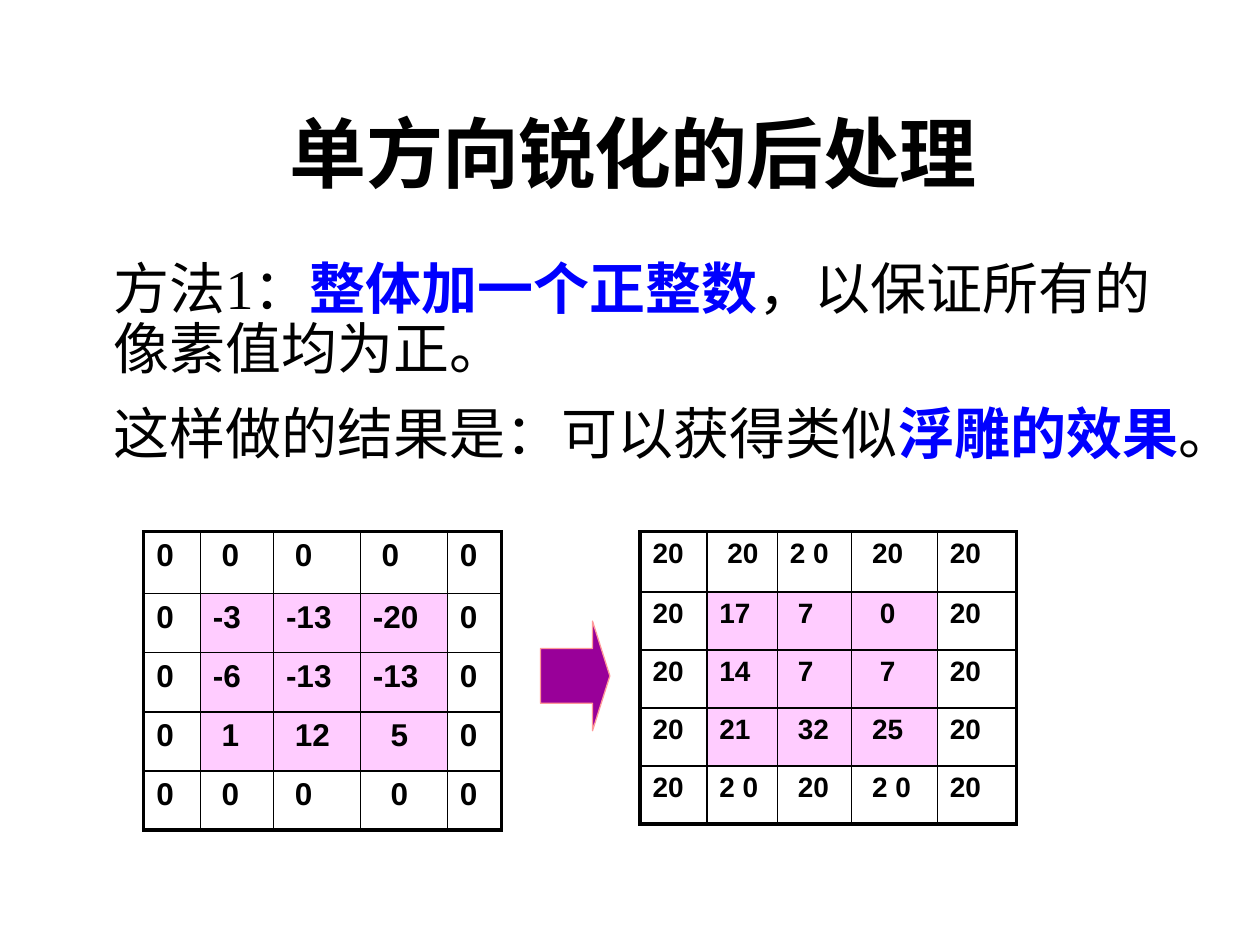
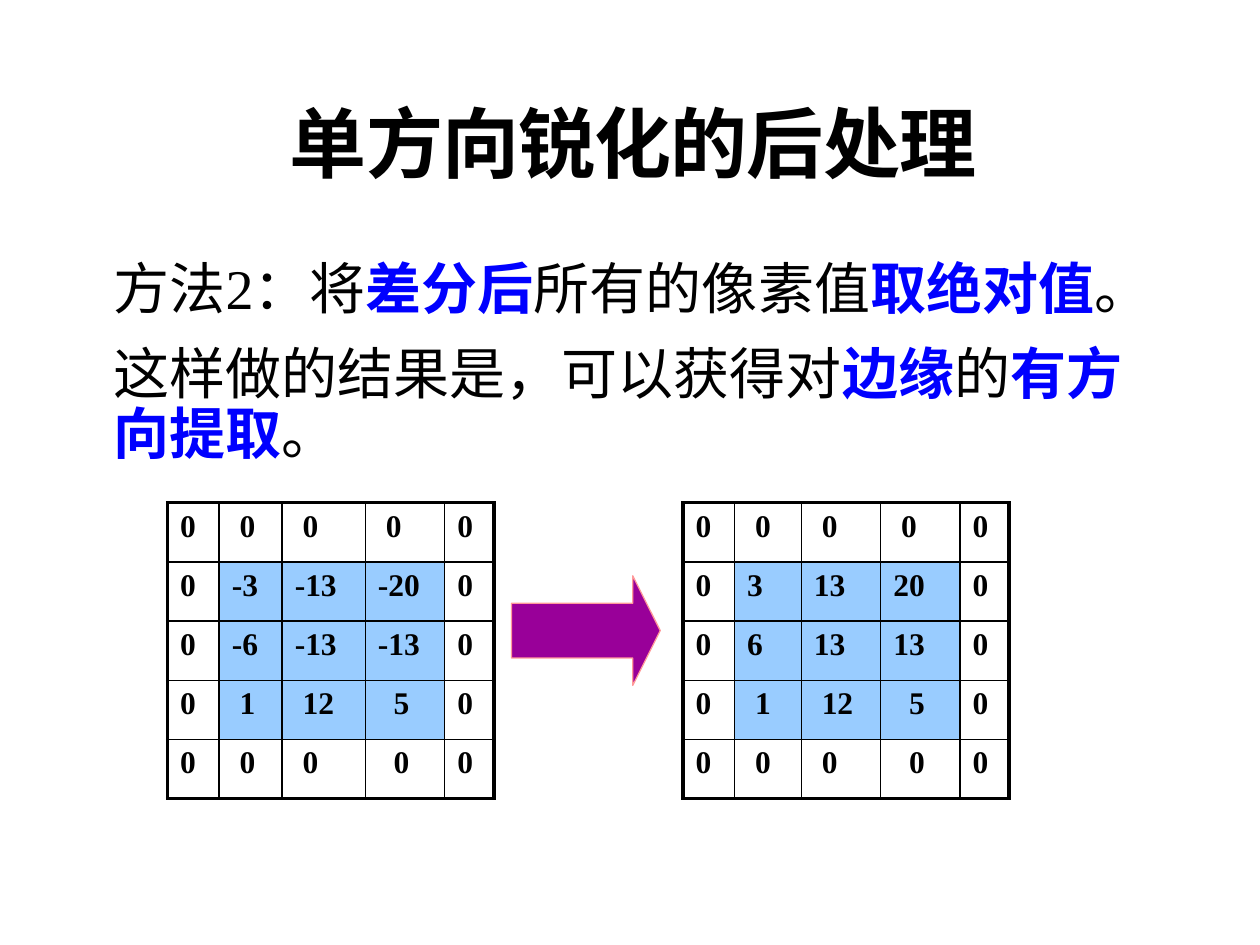
from lxml.etree import SubElement
from pptx import Presentation
from pptx.dml.color import RGBColor
from pptx.enum.shapes import MSO_SHAPE
from pptx.enum.text import MSO_ANCHOR, PP_ALIGN
from pptx.oxml.ns import qn
from pptx.util import Inches, Pt

BLACK, WHITE, BLUE = "000000", "FFFFFF", "0000FF"
PINK, SKY = "FFCCFF", "99CCFF"
PURPLE, SALMON = "990099", "FF9999"
SERIF, SANS = "Times New Roman", "Arial"
TITLE = "单方向锐化的后处理"

DIFFERENCES = [
    ["0", "0", "0", "0", "0"],
    ["0", "-3", "-13", "-20", "0"],
    ["0", "-6", "-13", "-13", "0"],
    ["0", "1", "12", "5", "0"],
    ["0", "0", "0", "0", "0"],
]
ABSOLUTES = [[value.lstrip("-") for value in row] for row in DIFFERENCES]
SHIFTED = [
    ["20", "20", "2 0", "20", "20"],
    ["20", "17", "7", "0", "20"],
    ["20", "14", "7", "7", "20"],
    ["20", "21", "32", "25", "20"],
    ["20", "2 0", "20", "2 0", "20"],
]
DIFFERENCE_INDENTS = ["01110", "00000", "00000", "01120", "01120"]
SHIFTED_INDENTS = ["01010", "00120", "00120", "00110", "00110"]


def color(value):
    return RGBColor.from_string(value)


def add_text(para, text, size=32, font=SERIF, fill=BLACK, bold=False, spacing=None):
    span = para.add_run()
    span.text = text
    span.font.size = Pt(size)
    span.font.name = font
    span.font.bold = bold
    span.font.color.rgb = color(fill)
    properties = span._r.get_or_add_rPr()
    properties.set("lang", "zh-CN")
    if spacing is not None:
        properties.set("spc", str(int(spacing * 100)))


def add_frame(page, left, top, width, height):
    box = page.shapes.add_textbox(Inches(left), Inches(top), Inches(width), Inches(height))
    box.text_frame.word_wrap = True
    return box.text_frame


def add_title(page, height):
    frame = add_frame(page, 0.9, 0.31, 8.25, height)
    frame.vertical_anchor = MSO_ANCHOR.BOTTOM
    para = frame.paragraphs[0]
    para.alignment = PP_ALIGN.CENTER
    para.line_spacing = 0.85
    add_text(para, TITLE, size=44, bold=True, spacing=-0.5)


def add_body(page, width, paragraphs):
    frame = add_frame(page, 0.9, 2.02, width, 4.4)
    frame.margin_left = frame.margin_right = 0
    for index, parts in enumerate(paragraphs):
        para = frame.add_paragraph() if index else frame.paragraphs[0]
        para.line_spacing = 0.9
        para.space_before = Pt(12 if index else 0)
        para.space_after = Pt(2)
        for text, stressed in parts:
            add_text(para, text, fill=BLUE if stressed else BLACK, bold=stressed)


def add_arrow(page, left, top, width):
    arrow = page.shapes.add_shape(
        MSO_SHAPE.RIGHT_ARROW, Inches(left), Inches(top), Inches(width), Inches(0.87))
    arrow.shadow.inherit = False
    arrow.adjustments[0] = 0.5
    arrow.adjustments[1] = 0.25
    arrow.fill.solid()
    arrow.fill.fore_color.rgb = color(PURPLE)
    arrow.line.color.rgb = color(SALMON)
    arrow.line.width = Pt(0.75)


def set_borders(cell, outer_sides):
    properties = cell._tc.get_or_add_tcPr()
    for side in "LRTB":
        width = Pt(2.25 if side in outer_sides else 1)
        line = SubElement(properties, qn(f"a:ln{side}"), w=str(width))
        SubElement(SubElement(line, qn("a:solidFill")), qn("a:srgbClr"), val=BLACK)


def add_matrix(page, left, top, columns, rows, values, indents, accent, size, font):
    table = page.shapes.add_table(
        len(rows), len(columns), Inches(left), Inches(top),
        Inches(sum(columns)), Inches(sum(rows))).table
    table.first_row = table.horz_banding = False
    for column, width in zip(table.columns, columns):
        column.width = Inches(width)
    last = len(values) - 1
    step = size / 72 * (0.28 if font == SANS else 0.25)
    for r, row in enumerate(values):
        table.rows[r].height = Inches(rows[r])
        for c, value in enumerate(row):
            cell = table.cell(r, c)
            edges = {"L": c == 0, "R": c == last, "T": r == 0, "B": r == last}
            outer_sides = [side for side, on_edge in edges.items() if on_edge]
            set_borders(cell, outer_sides)
            cell.fill.solid()
            cell.fill.fore_color.rgb = color(WHITE if outer_sides else accent)
            cell.margin_left = Inches(0.1 + step * int(indents[r][c]))
            cell.margin_right = Inches(0.02)
            add_text(cell.text_frame.paragraphs[0], value, size=size, font=font, bold=True)


def add_offset_slide(deck):
    page = deck.slides.add_slide(deck.slide_layouts[6])
    add_title(page, 1.31)
    add_body(page, 8.59, [
        [("方法1：", False), ("整体加一个正整数", True),
         ("，以保证所有的像素值均为正。", False)],
        [("这样做的结果是：可以获得类似", False), ("浮雕的效果", True), ("。", False)],
    ])
    add_arrow(page, 4.29, 4.93, 0.55)
    add_matrix(page, 5.08, 4.22, [0.53, 0.56, 0.59, 0.68, 0.63], [0.48] + [0.46] * 4,
               SHIFTED, SHIFTED_INDENTS, PINK, 16, SANS)
    add_matrix(page, 1.14, 4.22, [0.45, 0.58, 0.69, 0.69, 0.43], [0.49] + [0.47] * 4,
               DIFFERENCES, DIFFERENCE_INDENTS, PINK, 18, SANS)


def add_absolute_slide(deck):
    page = deck.slides.add_slide(deck.slide_layouts[6])
    add_title(page, 1.23)
    add_body(page, 8.25, [
        [("方法2：将", False), ("差分后", True), ("所有的像素值", False),
         ("取绝对值", True), ("。", False)],
        [("这样做的结果是，可以获得对", False), ("边缘", True), ("的", False),
         ("有方向提取", True), ("。", False)],
    ])
    add_arrow(page, 4.06, 4.57, 1.18)
    add_matrix(page, 5.42, 3.99, [0.41, 0.53, 0.63, 0.63, 0.39], [0.47] * 5,
               ABSOLUTES, DIFFERENCE_INDENTS, SKY, 18, SERIF)
    add_matrix(page, 1.33, 3.99, [0.41, 0.5, 0.66, 0.63, 0.39], [0.47] * 5,
               DIFFERENCES, DIFFERENCE_INDENTS, SKY, 18, SERIF)


def main():
    deck = Presentation()
    deck.slide_width = Inches(10)
    deck.slide_height = Inches(7.5)
    add_offset_slide(deck)
    add_absolute_slide(deck)
    deck.save("out.pptx")


if __name__ == "__main__":
    main()
